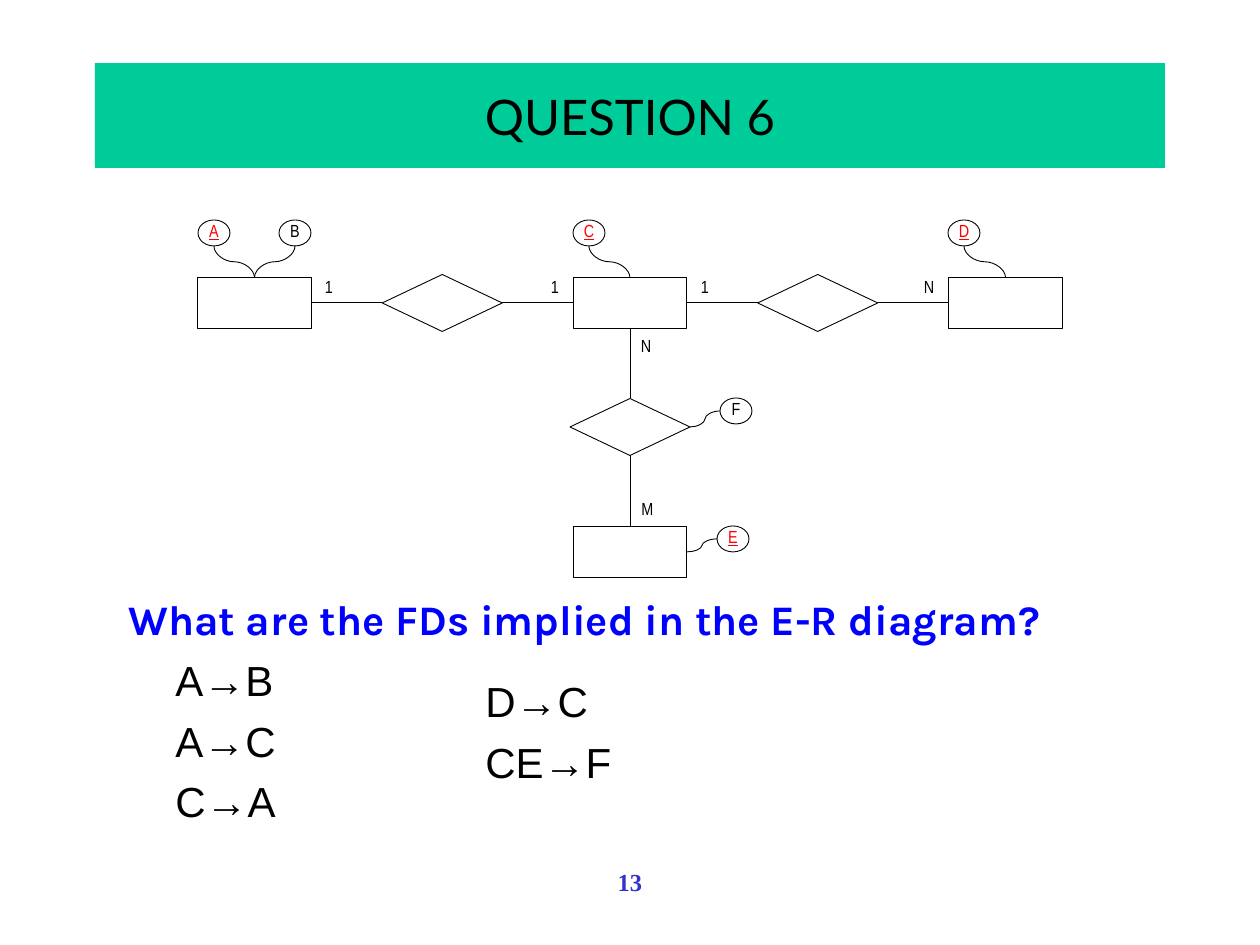
from pptx import Presentation
from pptx import util as u
from pptx.dml.color import RGBColor
from pptx.enum import shapes, text
from pptx.oxml.ns import qn
from lxml import etree

SCALE = 914400 // 126
BLACK = RGBColor(0, 0, 0)
WHITE = RGBColor(255, 255, 255)
RED = RGBColor(255, 0, 0)
BLUE = RGBColor(0, 0, 255)
INDIGO = RGBColor(0x33, 0x33, 0xCC)
GREEN = RGBColor(0, 0xCC, 0x99)
MID = text.PP_ALIGN.CENTER
KIND = shapes.MSO_SHAPE
LINK = shapes.MSO_CONNECTOR


def px(*vals):
    return [u.Emu(round(v * SCALE)) for v in vals]


def write(frame, words, size=24, font="Arial", color=BLACK, bold=False,
          under=False, align=None, before=0, left=0, more=False):
    para = frame.add_paragraph() if more else frame.paragraphs[0]
    para.space_before = u.Pt(before)
    if align is not None:
        para.alignment = align
    if left:
        para._p.get_or_add_pPr().set("marL", str(px(left)[0]))
    run = para.add_run()
    run.text = words
    face = run.font
    face.size, face.name, face.bold = u.Pt(size), font, bold
    face.underline = under
    face.color.rgb = color


def add_box(tree, x, y, w, h, wrap=True):
    frame = tree.add_textbox(*px(x, y, w, h)).text_frame
    frame.word_wrap = wrap
    return frame


def add_node(tree, kind, x, y, w, h, fill=None):
    node = tree.add_shape(kind, *px(x - w / 2, y - h / 2, w, h))
    node.shadow.inherit = False
    if fill is None:
        node.fill.background()
    else:
        node.fill.solid()
        node.fill.fore_color.rgb = fill
    node.line.color.rgb = BLACK
    node.line.width = u.Pt(0.5)
    return node


def add_attr(tree, name, x, y, key):
    frame = add_node(tree, KIND.OVAL, x, y, 32, 26).text_frame
    frame.margin_left = frame.margin_right = frame.margin_top = 0
    frame.margin_bottom = px(4)[0]
    frame.word_wrap = False
    frame.vertical_anchor = text.MSO_ANCHOR.MIDDLE
    write(frame, name, size=10, font="Arial Narrow", align=MID,
          color=RED if key else BLACK, under=key)


def add_mark(tree, name, x, y):
    frame = add_box(tree, x - 18, y - 17, 36, 34, wrap=False)
    write(frame, name, size=10, font="Arial Narrow", align=MID)


def add_link(tree, x1, y1, x2, y2, kind=LINK.STRAIGHT):
    link = tree.add_connector(kind, *px(x1, y1, x2, y2))
    link.line.color.rgb = BLACK
    link.line.width = u.Pt(0.5)
    etree.SubElement(link._element.spPr, qn("a:effectLst"))
    return link


def add_drop(tree, x1, y1, x2, y2):
    cx, cy = (x1 + x2) / 2, (y1 + y2) / 2
    half = (y2 - y1) / 2
    link = add_link(tree, cx - half, cy + cx - x1, cx + half, cy + cx - x2,
                    LINK.CURVE)
    link._element.spPr.find(qn("a:xfrm")).set("rot", "5400000")


def draw_graph(tree):
    row, low, base = 303, 427, 552
    cols = [254.5, 630, 1005.5]
    mid = cols[1]
    for x, y in [(x, row) for x in cols] + [(mid, base)]:
        add_node(tree, KIND.RECTANGLE, x, y, 114, 51, WHITE)
    for x, end in zip(cols, cols[1:]):
        hub = (x + end) / 2
        add_node(tree, KIND.DIAMOND, hub, row, 120, 57)
        add_link(tree, x + 57, row, hub - 60, row)
        add_link(tree, hub + 60, row, end - 57, row)
    add_node(tree, KIND.DIAMOND, mid, low, 120, 57)
    add_link(tree, mid, row + 25.5, mid, low - 28.5)
    add_link(tree, mid, low + 28.5, mid, base - 25.5)

    for name, x, y in [("1", 329, 287), ("1", 555, 287), ("1", 705, 287),
                       ("N", 929, 287), ("N", 646, 346), ("M", 647, 509)]:
        add_mark(tree, name, x, y)
    for name, x, col, key in [("A", 214, 0, True), ("B", 295, 0, False),
                              ("C", 589, 1, True), ("D", 964, 2, True)]:
        add_attr(tree, name, x, 233, key)
        add_drop(tree, x, 246, cols[col], row - 25.5)
    for name, x, y, start, side, key in [("F", 736, 411, 690, low, False),
                                         ("E", 733, 539, 687, base, True)]:
        add_attr(tree, name, x, y, key)
        add_link(tree, start, side, x - 16, y, LINK.CURVE)


def main():
    deck = Presentation()
    deck.slide_width, deck.slide_height = u.Inches(10), u.Inches(7.5)
    slide = deck.slides.add_slide(deck.slide_layouts[5])
    tree = slide.shapes

    title = tree.title
    title.left, title.top, title.width, title.height = px(95, 63, 1070, 105)
    title.fill.solid()
    title.fill.fore_color.rgb = GREEN
    title.text_frame.vertical_anchor = text.MSO_ANCHOR.MIDDLE
    write(title.text_frame, "QUESTION 6", size=28, font="Lato", align=MID)

    body = add_box(tree, 116, 587, 1071, 285)
    write(body, "What are the FDs implied in the E-R diagram?",
          font="Karla", color=BLUE, bold=True, before=8)
    for rule in ("A→B", "A→C", "C→A"):
        write(body, rule, before=6, left=47, more=True)

    draw_graph(tree.add_group_shape().shapes)

    side = add_box(tree, 473, 669, 229, 108)
    write(side, "D→C", before=6)
    write(side, "CE→F", before=6, more=True)

    foot = add_box(tree, 63, 861, 1134, 63)
    write(foot, "13", size=14, font="Times New Roman", color=INDIGO,
          bold=True, align=MID)
    deck.save("out.pptx")


main()
